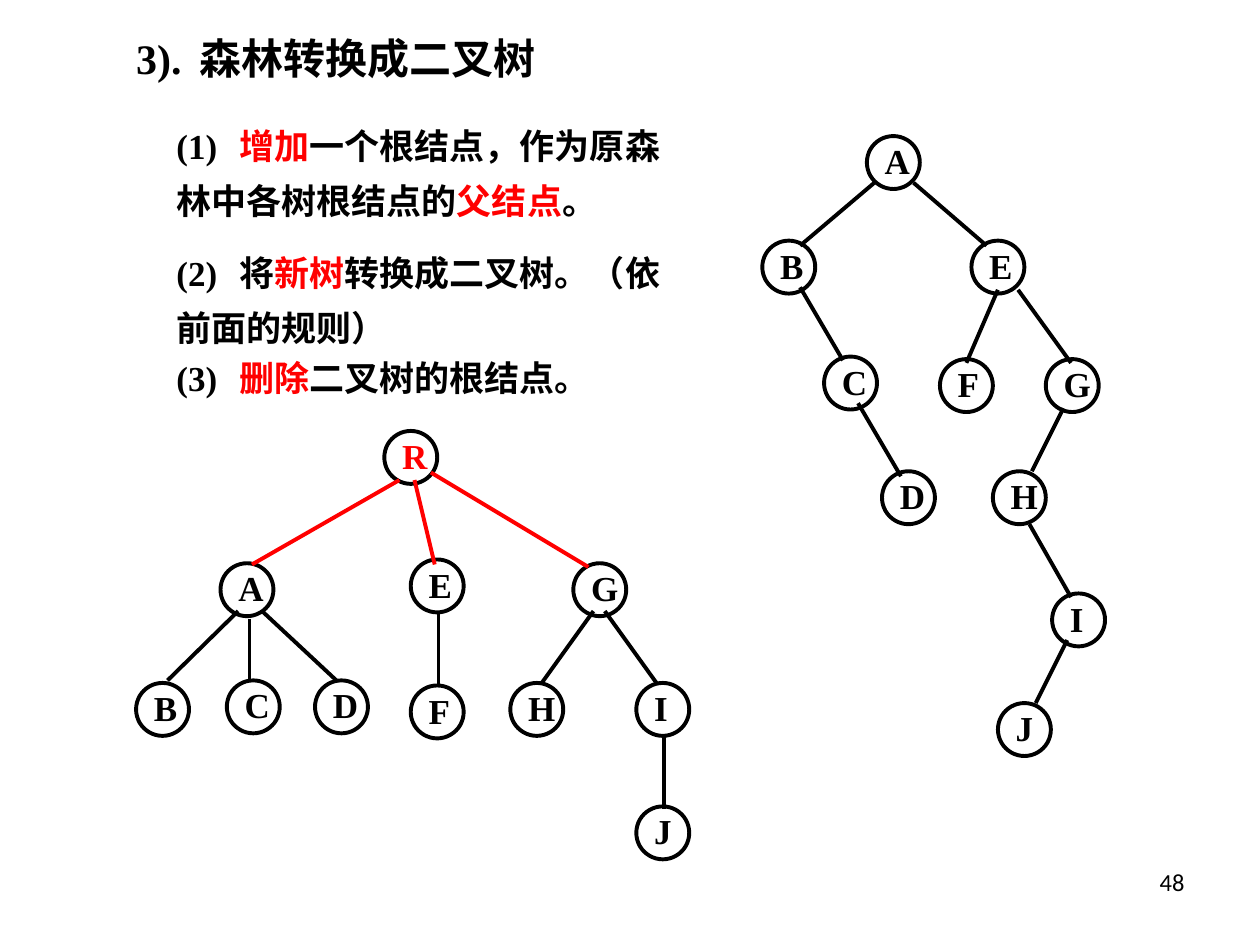
from lxml import etree
from pptx import Presentation
from pptx.dml.color import RGBColor
from pptx.enum import shapes, text
from pptx.oxml import ns
from pptx.util import Inches, Pt

BLACK = RGBColor(0, 0, 0)
RED = RGBColor(255, 0, 0)
SERIF = "Times New Roman"
SIZE = 0.42

FOREST = [
    ("R", 3.05, 3.42),
    ("A", 1.75, 4.47), ("E", 3.26, 4.44), ("G", 4.55, 4.47),
    ("B", 1.08, 5.42), ("C", 1.8, 5.4), ("D", 2.5, 5.4),
    ("F", 3.26, 5.44), ("H", 4.05, 5.42), ("I", 5.05, 5.42),
    ("J", 5.05, 6.4),
]
BINARY = [
    ("A", 6.88, 1.08),
    ("B", 6.05, 1.91), ("E", 7.71, 1.91),
    ("C", 6.54, 2.83), ("F", 7.46, 2.85), ("G", 8.3, 2.85),
    ("D", 7, 3.74), ("H", 7.88, 3.74),
    ("I", 8.35, 4.71), ("J", 7.92, 5.58),
]
ROOT_EDGES = [
    (3.17, 3.81, 2, 4.48), (3.29, 3.81, 3.45, 4.48), (3.42, 3.75, 4.67, 4.5),
]
FOREST_EDGES = [
    (1.89, 4.85, 1.33, 5.4), (1.98, 4.91, 1.98, 5.41), (2.08, 4.85, 2.67, 5.4),
    (3.48, 4.87, 3.48, 5.45),
    (4.71, 4.85, 4.3, 5.42), (4.8, 4.85, 5.21, 5.42),
    (5.27, 5.83, 5.27, 6.42),
]
BINARY_EDGES = [
    (6.94, 1.45, 6.35, 1.95), (7.25, 1.45, 7.83, 1.95),
    (6.35, 2.28, 6.69, 2.86), (6.81, 3.2, 7.15, 3.78),
    (7.92, 2.3, 7.67, 2.88), (8.08, 2.3, 8.5, 2.88),
    (8.44, 3.24, 8.19, 3.74), (8.17, 4.16, 8.5, 4.74),
    (8.47, 5.08, 8.22, 5.58),
]
STEPS = [
    ([("(1)\t", BLACK), ("增加", RED), ("一个根结点，作为原森林中各树根结点的", BLACK),
      ("父结点", RED), ("。", BLACK)], 0, 1.3),
    ([("(2)\t将", BLACK), ("新树", RED), ("转换成二叉树。（依前面的规则）", BLACK)], 10, 1.3),
    ([("(3)\t", BLACK), ("删除", RED), ("二叉树的根结点。", BLACK)], 0, 1.2),
]


def style(font, size, color=BLACK, name=SERIF, bold=True):
    font.name = name
    font.size = Pt(size)
    font.bold = bold
    font.color.rgb = color


def place(shape, left, top, width, height):
    shape.left, shape.top = Inches(left), Inches(top)
    shape.width, shape.height = Inches(width), Inches(height)
    frame = shape.text_frame
    frame.word_wrap = True
    frame.auto_size = text.MSO_AUTO_SIZE.NONE
    frame.vertical_anchor = text.MSO_ANCHOR.TOP
    return frame


def set_tab(para, pos):
    props = para._p.get_or_add_pPr()
    props.set("marL", "0")
    props.set("indent", "0")
    etree.SubElement(props, ns.qn("a:buNone"))
    tabs = etree.SubElement(props, ns.qn("a:tabLst"))
    etree.SubElement(tabs, ns.qn("a:tab"), pos=str(Inches(pos)), algn="l")


def add_title(slide):
    frame = place(slide.shapes.title, 0.98, 0.21, 3.92, 0.5)
    frame.text = "3).\t森林转换成二叉树"
    para = frame.paragraphs[0]
    set_tab(para, 0.77)
    para.alignment = text.PP_ALIGN.LEFT
    style(para.runs[0].font, 24)


def add_steps(slide):
    frame = place(slide.placeholders[1], 1.3, 0.84, 4.08, 2.36)
    for i, (parts, gap, pitch) in enumerate(STEPS):
        para = frame.add_paragraph() if i else frame.paragraphs[0]
        set_tab(para, 0.53)
        para.space_before = Pt(gap)
        para.line_spacing = pitch
        for words, color in parts:
            run = para.add_run()
            run.text = words
            style(run.font, 20, color)


def add_node(slide, label, left, top, color=BLACK):
    node = slide.shapes.add_shape(
        shapes.MSO_SHAPE.OVAL, Inches(left), Inches(top), Inches(SIZE), Inches(SIZE))
    node.shadow.inherit = False
    node.fill.background()
    node.line.color.rgb = BLACK
    node.line.width = Pt(2.25)
    frame = node.text_frame
    frame.word_wrap = False
    frame.vertical_anchor = text.MSO_ANCHOR.MIDDLE
    frame.margin_left, frame.margin_right = Inches(0.08), 0
    frame.margin_top, frame.margin_bottom = 0, Inches(0.03)
    frame.text = label
    para = frame.paragraphs[0]
    para.alignment = text.PP_ALIGN.LEFT
    style(para.runs[0].font, 20, color)


def add_edge(slide, ends, color=BLACK):
    edge = slide.shapes.add_connector(
        shapes.MSO_CONNECTOR.STRAIGHT, *[Inches(v) for v in ends])
    edge.line.color.rgb = color
    edge.line.width = Pt(2.25)
    etree.SubElement(edge._element.spPr, ns.qn("a:effectLst"))


def add_number(slide):
    box = slide.shapes.add_textbox(0, 0, 0, 0)
    frame = place(box, 7.17, 6.83, 2.33, 0.52)
    frame.text = "48"
    para = frame.paragraphs[0]
    para.alignment = text.PP_ALIGN.RIGHT
    style(para.runs[0].font, 14, name="Calibri", bold=False)


def main():
    deck = Presentation()
    deck.slide_width, deck.slide_height = Inches(10), Inches(7.5)
    slide = deck.slides.add_slide(deck.slide_layouts[1])
    add_title(slide)
    add_steps(slide)
    for label, left, top in FOREST + BINARY:
        add_node(slide, label, left, top, RED if label == "R" else BLACK)
    for ends in ROOT_EDGES:
        add_edge(slide, ends, RED)
    for ends in FOREST_EDGES + BINARY_EDGES:
        add_edge(slide, ends)
    add_number(slide)
    deck.save("out.pptx")


if __name__ == "__main__":
    main()
